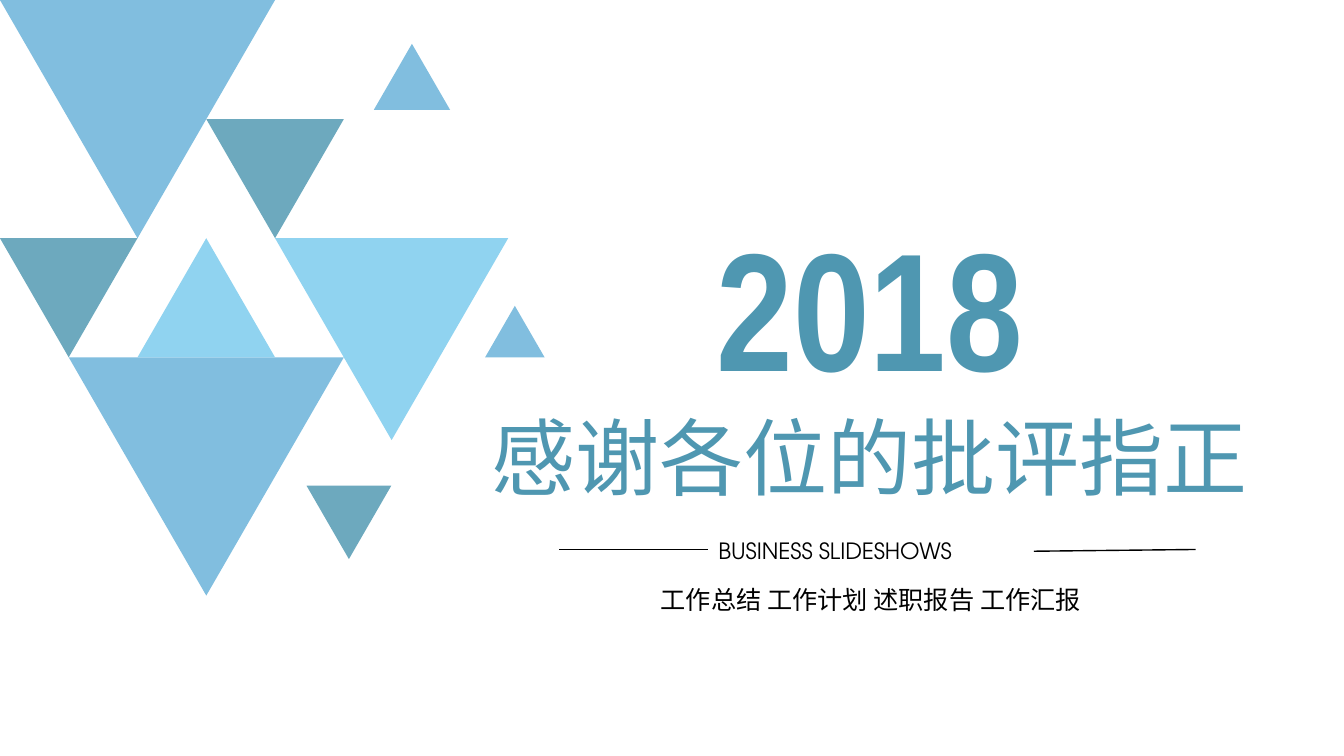
from dataclasses import dataclass
from math import sqrt

from lxml import etree
from pptx import Presentation
from pptx.dml.color import RGBColor
from pptx.enum import shapes, text
from pptx.oxml import ns
from pptx.util import Pt


@dataclass(frozen=True)
class Theme:
    blue: str = "81BEDF"
    sky: str = "90D3F0"
    teal: str = "6DA9BE"
    deep: str = "4F97B1"
    ink: str = "000000"
    cjk: str = "Noto Sans CJK SC"
    latin: str = "TeX Gyre Adventor"
    narrow: str = "Arial Narrow"
    year: int = 120
    title: int = 60
    tags: int = 18
    label: int = 16


THEME = Theme()
SIDE = 98.25
RATIO = sqrt(3) / 2
ROW = SIDE * RATIO
UP, DOWN = -1, 1

TILES = [
    (0, 0, 2 * SIDE, DOWN, THEME.blue),
    (2 * SIDE, 2 * ROW, 166.5, DOWN, THEME.sky),
    (0, 2 * ROW, SIDE, DOWN, THEME.teal),
    (1.5 * SIDE, ROW, SIDE, DOWN, THEME.teal),
    (219, 347, 60.5, DOWN, THEME.teal),
    (SIDE / 2, 3 * ROW, 2 * SIDE, DOWN, THEME.blue),
    (267, 78.5, 54.5, UP, THEME.blue),
    (346.5, 3 * ROW, 42.5, UP, THEME.blue),
    (SIDE, 3 * ROW, SIDE, UP, THEME.sky),
]


def add_tile(slide, left, base, width, way, color):
    tip = (Pt(left + width / 2), Pt(base + way * width * RATIO))
    outline = slide.shapes.build_freeform(Pt(left), Pt(base), scale=1.0)
    outline.add_line_segments([(Pt(left + width), Pt(base)), tip], close=True)
    tile = outline.convert_to_shape()
    tile.shadow.inherit = False
    tile.fill.solid()
    tile.fill.fore_color.rgb = RGBColor.from_string(color)
    tile.line.fill.background()


def add_rule(slide, *ends):
    rule = slide.shapes.add_connector(
        shapes.MSO_CONNECTOR.STRAIGHT, *[Pt(end) for end in ends])
    rule.line.color.rgb = RGBColor.from_string(THEME.ink)
    rule.line.width = Pt(1)
    etree.SubElement(rule._element.spPr, ns.qn("a:effectLst"))


def set_text(shape, area, words, size, face, color, bold=False,
             align=text.PP_ALIGN.CENTER):
    shape.left, shape.top, shape.width, shape.height = [Pt(n) for n in area]
    frame = shape.text_frame
    frame.text = words
    frame.word_wrap = True
    frame.auto_size = text.MSO_AUTO_SIZE.SHAPE_TO_FIT_TEXT
    frame.vertical_anchor = text.MSO_ANCHOR.TOP
    line = frame.paragraphs[0]
    line.alignment = align
    for run in line.runs:
        font = run.font
        font.size = Pt(size)
        font.bold = bold
        font.color.rgb = RGBColor.from_string(color)
        font.name = face
        east = etree.SubElement(run._r.get_or_add_rPr(), ns.qn("a:ea"))
        east.set("typeface", face)


def add_label(slide, area, *style, **more):
    box = slide.shapes.add_textbox(*[Pt(n) for n in area])
    set_text(box, area, *style, **more)


def main():
    deck = Presentation()
    deck.slide_width, deck.slide_height = Pt(960), Pt(540)
    slide = deck.slides.add_slide(deck.slide_layouts.get_by_name("Title Only"))

    for tile in TILES:
        add_tile(slide, *tile)

    set_text(slide.shapes.title, (252.5, 286, 737.5, 80),
             "感谢各位的批评指正", THEME.title, THEME.cjk, THEME.deep)
    add_rule(slide, 399.5, 392.5, 506, 392.5)
    add_rule(slide, 738.5, 393.75, 854, 392.5)
    add_label(slide, (506, 380, 231, 26.5), "BUSINESS SLIDESHOWS",
              THEME.label, THEME.latin, THEME.ink,
              align=text.PP_ALIGN.JUSTIFY)
    add_label(slide, (443, 413.5, 358, 29),
              "工作总结 工作计划 述职报告 工作汇报",
              THEME.tags, THEME.cjk, THEME.ink)
    add_label(slide, (414.5, 142, 413.5, 152.5), "2018",
              THEME.year, THEME.narrow, THEME.deep, bold=True)

    deck.save("out.pptx")


if __name__ == "__main__":
    main()
